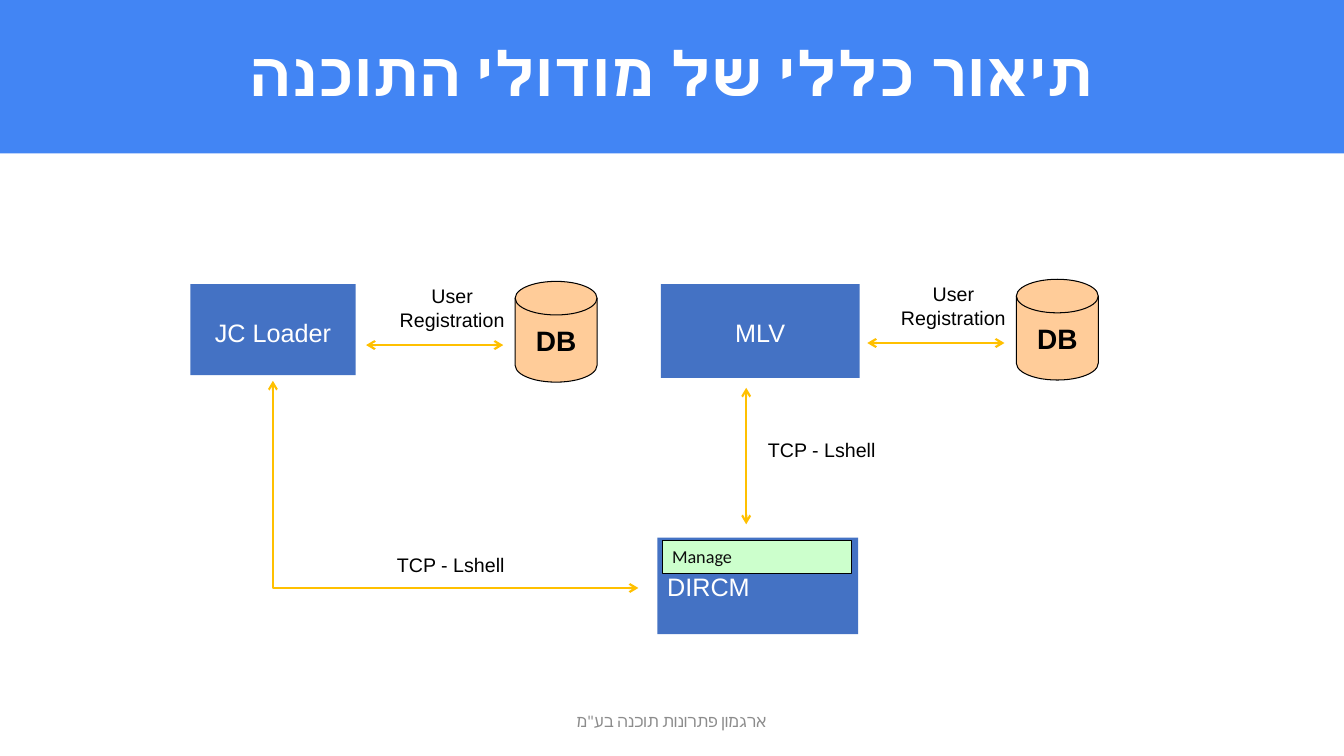
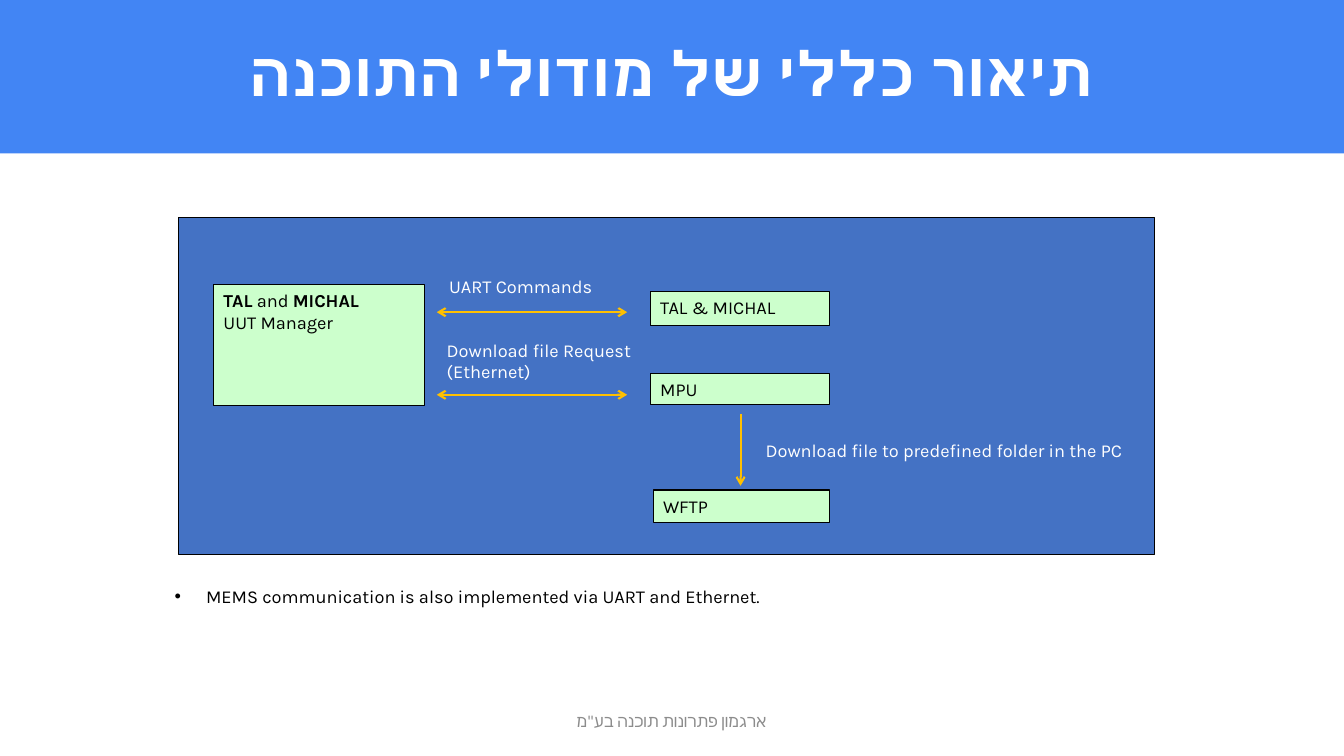
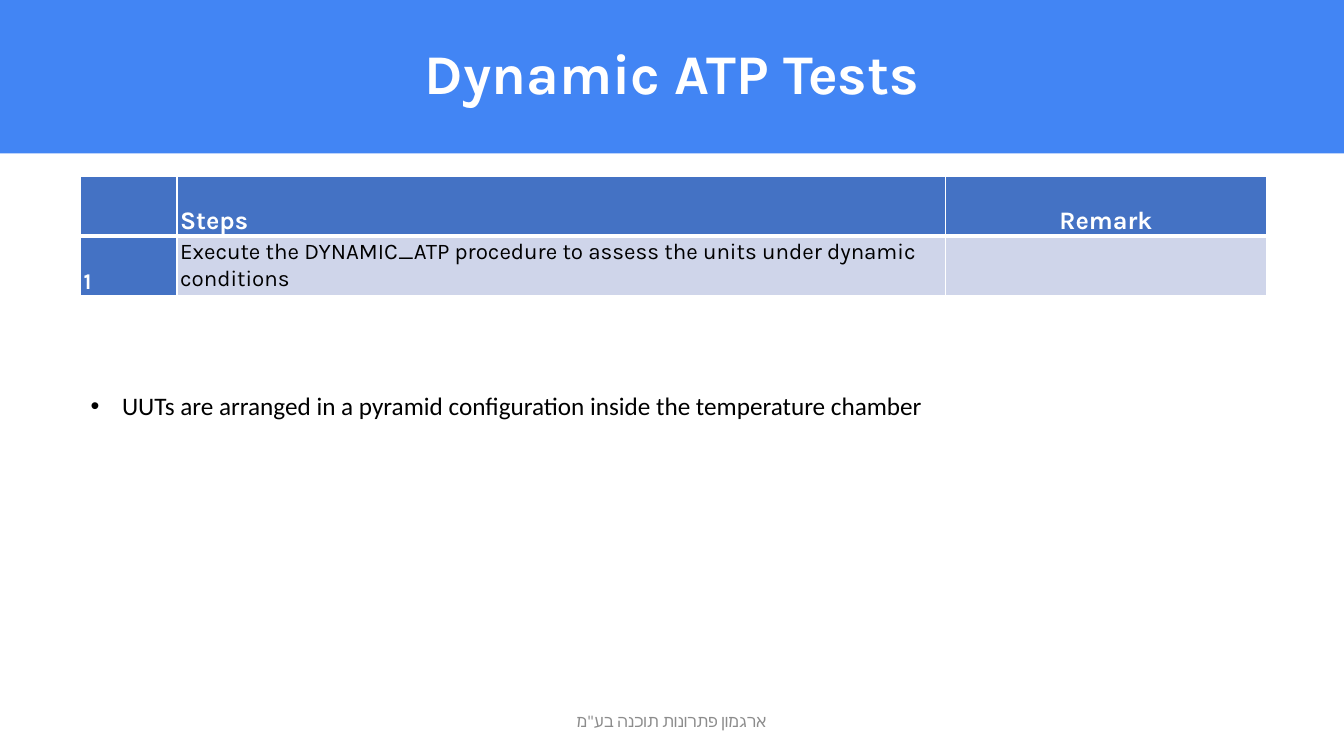
import dataclasses
import typing

import lxml.etree
import pptx
import pptx.dml.color
import pptx.enum.shapes
import pptx.enum.text
import pptx.oxml.ns
import pptx.util

Pt = pptx.util.Pt
qn = pptx.oxml.ns.qn
Align = pptx.enum.text.PP_ALIGN
Anchor = pptx.enum.text.MSO_ANCHOR
Preset = pptx.enum.shapes.MSO_SHAPE
Connector = pptx.enum.shapes.MSO_CONNECTOR

COLORS = {
    "band": "4285F4",
    "module": "4472C4",
    "unit": "CCFFCC",
    "database": "FFCC99",
    "arrow": "FFC000",
    "row": "CFD5EA",
    "footer": "8C8C8C",
    "dark": "0D0D0D",
    "black": "000000",
    "white": "FFFFFF",
}
FOOTER = 'ארגמון פתרונות תוכנה בע"מ'
MODULES_TITLE = "תיאור כללי של מודולי התוכנה"
BULLET_INDENT = 22.5


class Area(typing.NamedTuple):
    left: float
    top: float
    width: float
    height: float

    def shifted(self, right: float, down: float) -> "Area":
        return self._replace(left=self.left + right, top=self.top + down)


@dataclasses.dataclass(frozen=True)
class Style:
    font: str = "Karla"
    size: float = 13
    color: str = "black"
    bold: bool = False
    align: Align = Align.LEFT
    anchor: Anchor = Anchor.TOP
    top_inset: float = 3.6
    wrap: bool = True
    rtl: bool = False
    spacing: float = 1.0


@dataclasses.dataclass(frozen=True)
class Block:
    """A preset shape with optional text and outline."""
    area: Area
    fill: str
    text: str = ""
    style: Style = Style()
    outlined: bool = True
    preset: Preset = Preset.RECTANGLE


@dataclasses.dataclass(frozen=True)
class Label:
    area: Area
    text: str
    style: Style


@dataclasses.dataclass(frozen=True)
class Arrow:
    start: tuple[float, float]
    end: tuple[float, float]
    both_ways: bool = True
    bent: bool = False


BAND = Area(0, 0, 960, 109.5)
TITLE = Style(size=44, color="white", bold=True, align=Align.CENTER,
              anchor=Anchor.MIDDLE, rtl=True, spacing=0.9)
FOOTER_STYLE = Style("Calibri", 12, "footer", align=Align.CENTER, anchor=Anchor.MIDDLE, rtl=True)
MODULE = Style("Arial", 18, "white", align=Align.CENTER, top_inset=24)
DATABASE = Style("Arial", 20, bold=True, align=Align.CENTER, anchor=Anchor.MIDDLE, wrap=False)
LINK = Style("Arial", 14, align=Align.CENTER, wrap=False)
UNIT = Style()
NOTE = Style(color="white")
NOTE_RIGHT = Style(color="white", align=Align.RIGHT)


def rgb(name: str) -> pptx.dml.color.RGBColor:
    return pptx.dml.color.RGBColor.from_string(COLORS[name])


def set_values(target: typing.Any, values: dict[str, typing.Any]) -> None:
    for name, value in values.items():
        setattr(target, name, value)


def place(box: typing.Any, area: Area) -> None:
    set_values(box, {name: Pt(value) for name, value in area._asdict().items()})


def write(frame: typing.Any, text: str, style: Style) -> None:
    """Fill a frame: newlines part paragraphs, asterisks toggle bold."""
    set_values(frame, {
        "auto_size": pptx.enum.text.MSO_AUTO_SIZE.NONE,
        "word_wrap": style.wrap,
        "vertical_anchor": style.anchor,
        "margin_left": Pt(7.2),
        "margin_right": Pt(7.2),
        "margin_top": Pt(style.top_inset),
        "margin_bottom": Pt(3.6),
    })
    write_paragraphs(frame, text, style)


def write_paragraphs(frame: typing.Any, text: str, style: Style) -> None:
    for index, line in enumerate(text.split("\n")):
        para = frame.add_paragraph() if index else frame.paragraphs[0]
        set_values(para, {"alignment": style.align, "line_spacing": style.spacing,
                          "space_before": Pt(0)})
        if style.rtl:
            para._p.get_or_add_pPr().set("rtl", "1")
        for position, words in enumerate(line.split("*")):
            if words:
                span = para.add_run()
                span.text = words
                set_values(span.font, {"name": style.font, "size": Pt(style.size),
                                       "bold": style.bold or position % 2 == 1})
                span.font.color.rgb = rgb(style.color)
                if style.rtl:
                    script_font = lxml.etree.SubElement(span.font._element, qn("a:cs"))
                    script_font.set("typeface", style.font)


def draw_block(page: typing.Any, block: Block) -> typing.Any:
    box = page.shapes.add_shape(block.preset, *map(Pt, block.area))
    box.shadow.inherit = False
    box.fill.solid()
    box.fill.fore_color.rgb = rgb(block.fill)
    if block.outlined:
        box.line.color.rgb = rgb("black")
        box.line.width = Pt(0.75)
    else:
        box.line.fill.background()
    if block.text:
        write(box.text_frame, block.text, block.style)
    return box


def draw_label(page: typing.Any, label: Label) -> None:
    box = page.shapes.add_textbox(*map(Pt, label.area))
    write(box.text_frame, label.text, label.style)


def draw_arrow(page: typing.Any, arrow: Arrow) -> None:
    kind = Connector.ELBOW if arrow.bent else Connector.STRAIGHT
    line = page.shapes.add_connector(kind, *map(Pt, arrow.start + arrow.end))
    line.line.color.rgb = rgb("arrow")
    line.line.width = Pt(1.5)
    properties = line.element.spPr
    if arrow.bent:
        properties.find(qn("a:prstGeom")).set("prst", "bentConnector2")
    outline = properties.find(qn("a:ln"))
    for end in ("headEnd", "tailEnd") if arrow.both_ways else ("tailEnd",):
        lxml.etree.SubElement(outline, qn(f"a:{end}")).set("type", "arrow")
    lxml.etree.SubElement(properties, qn("a:effectLst"))


DRAWERS = {Block: draw_block, Label: draw_label, Arrow: draw_arrow}


def draw_all(page: typing.Any, items: list[Block | Label | Arrow]) -> None:
    for item in items:
        DRAWERS[type(item)](page, item)


def add_page(deck: typing.Any, title: str, style: Style = TITLE, has_list: bool = False) -> typing.Any:
    page = deck.slides.add_slide(deck.slide_layouts[1 if has_list else 5])
    place(page.shapes.title, BAND)
    write(page.shapes.title.text_frame, title, style)
    draw_label(page, Label(Area(318, 500.5, 324, 28.5), FOOTER, FOOTER_STYLE))
    return page


def move_band_to_master(deck: typing.Any, page: typing.Any) -> None:
    band = draw_block(page, Block(BAND, "band", outlined=False)).element
    band.nvSpPr.cNvPr.set("id", "99")
    deck.slide_master.shapes.element.insert(2, band)


def write_bullet(page: typing.Any, area: Area, text: str, style: Style) -> None:
    body = page.placeholders[1]
    place(body, area)
    write(body.text_frame, text, style)
    properties = body.text_frame.paragraphs[0]._p.get_or_add_pPr()
    properties.set("marL", str(Pt(BULLET_INDENT)))
    properties.set("indent", str(-Pt(BULLET_INDENT)))
    lxml.etree.SubElement(properties, qn("a:buFont")).set("typeface", "Arial")
    lxml.etree.SubElement(properties, qn("a:buChar")).set("char", "•")


def format_cell(cell: typing.Any, fill: str, borders: dict[str, float]) -> None:
    cell.fill.solid()
    cell.fill.fore_color.rgb = rgb(fill)
    properties = cell._tc.get_or_add_tcPr()
    for index, (side, width) in enumerate(borders.items()):
        border = lxml.etree.Element(qn(f"a:ln{side}"), w=str(Pt(width)))
        paint = lxml.etree.SubElement(border, qn("a:solidFill"))
        lxml.etree.SubElement(paint, qn("a:srgbClr")).set("val", COLORS["white"])
        properties.insert(index, border)


def draw_steps_table(page: typing.Any) -> None:
    widths, row_height = (69, 549, 229), 42.5
    header = Style(size=18, color="white", bold=True, anchor=Anchor.BOTTOM)
    rows = [
        [("", header), ("Steps", header),
         ("Remark", dataclasses.replace(header, align=Align.CENTER))],
        [("1", dataclasses.replace(header, size=16)),
         ("Execute the DYNAMIC_ATP procedure to assess the units under dynamic conditions",
          Style(size=16, anchor=Anchor.MIDDLE)),
         ("", Style(size=16))],
    ]
    table = page.shapes.add_table(len(rows), len(widths), Pt(57.5), Pt(126),
                                  Pt(sum(widths)), Pt(row_height * len(rows))).table
    for column, width in zip(table.columns, widths):
        column.width = Pt(width)
    for row_index, row in enumerate(rows):
        table.rows[row_index].height = Pt(row_height)
        is_header = row_index == 0
        borders = {"L": 1, "R": 1, "T": 1 if is_header else 3, "B": 3 if is_header else 1}
        for column_index, (text, style) in enumerate(row):
            cell = table.cell(row_index, column_index)
            format_cell(cell, "module" if is_header or column_index == 0 else "row", borders)
            set_values(cell, {"margin_left": Pt(2.2), "margin_right": Pt(2.2), "margin_top": 0,
                              "margin_bottom": 0, "vertical_anchor": style.anchor})
            write_paragraphs(cell.text_frame, text, style)


def build_modules(deck: typing.Any) -> None:
    page = add_page(deck, MODULES_TITLE)
    move_band_to_master(deck, page)
    draw_all(page, [
        Block(Area(136, 203, 118, 65), "module", "JC Loader", MODULE, outlined=False),
        Block(Area(472, 203, 142, 67), "module", "MLV", MODULE, outlined=False),
        Block(Area(469.5, 384, 143.5, 69), "module", "DIRCM",
              dataclasses.replace(MODULE, align=Align.LEFT), outlined=False),
        Block(Area(473, 386, 135.5, 24), "unit", "Manage", Style("Calibri", color="dark")),
    ])
    for right, down in ((0, 0), (358, -1.5)):
        draw_all(page, [
            Block(Area(368, 201, 58.5, 72).shifted(right, down), "database", "DB", DATABASE,
                  preset=Preset.FLOWCHART_MAGNETIC_DISK),
            Label(Area(278, 199.5, 90, 41).shifted(right, down), "User\nRegistration", LINK),
            Arrow((261.5 + right, 246.5 + down), (359.5 + right, 246.5 + down)),
        ])
    draw_all(page, [
        Arrow((533, 277), (533, 374.5)),
        Arrow((456, 420), (195, 272), bent=True),
        Label(Area(541, 309.5, 92, 24), "TCP - Lshell", LINK),
        Label(Area(276, 391.5, 92, 24), "TCP - Lshell", LINK),
    ])


def build_manager(deck: typing.Any) -> None:
    page = add_page(deck, MODULES_TITLE, has_list=True)
    draw_all(page, [
        Block(Area(127.5, 155.5, 697.5, 240.5), "module"),
        Block(Area(152.5, 203, 150.5, 86.5), "unit", "*TAL* and *MICHAL*\nUUT Manager", UNIT),
        Block(Area(464.5, 208, 128, 24.5), "unit", "TAL & MICHAL", UNIT),
        Block(Area(464.5, 266.5, 128, 22.5), "unit", "MPU", UNIT),
        Block(Area(466.5, 350, 126, 23.5), "unit", "WFTP", UNIT),
        Label(Area(250.5, 193, 179.5, 23), "UART Commands", NOTE_RIGHT),
        Label(Area(312, 238.5, 150.5, 54.5), "Download file Request\n(Ethernet)", NOTE),
        Label(Area(529, 310.5, 279.5, 23), "Download file to predefined folder in the PC", NOTE_RIGHT),
        Arrow((312, 223), (448, 223)),
        Arrow((312, 282), (448, 282)),
        Arrow((529, 296), (529, 347), both_ways=False),
    ])
    write_bullet(page, Area(117.5, 414.5, 635, 23),
                 "MEMS communication is also implemented via UART and Ethernet.", UNIT)


def build_tests(deck: typing.Any) -> None:
    style = dataclasses.replace(TITLE, size=40, rtl=False)
    page = add_page(deck, "Dynamic ATP Tests", style, has_list=True)
    draw_steps_table(page)
    write_bullet(page, Area(57.5, 275.5, 687.5, 29),
                 "UUTs are arranged in a pyramid configuration inside the temperature chamber",
                 Style("Calibri", 18))


def main() -> None:
    deck = pptx.Presentation()
    set_values(deck, {"slide_width": Pt(960), "slide_height": Pt(540)})
    for build in (build_modules, build_manager, build_tests):
        build(deck)
    deck.save("out.pptx")


if __name__ == "__main__":
    main()
